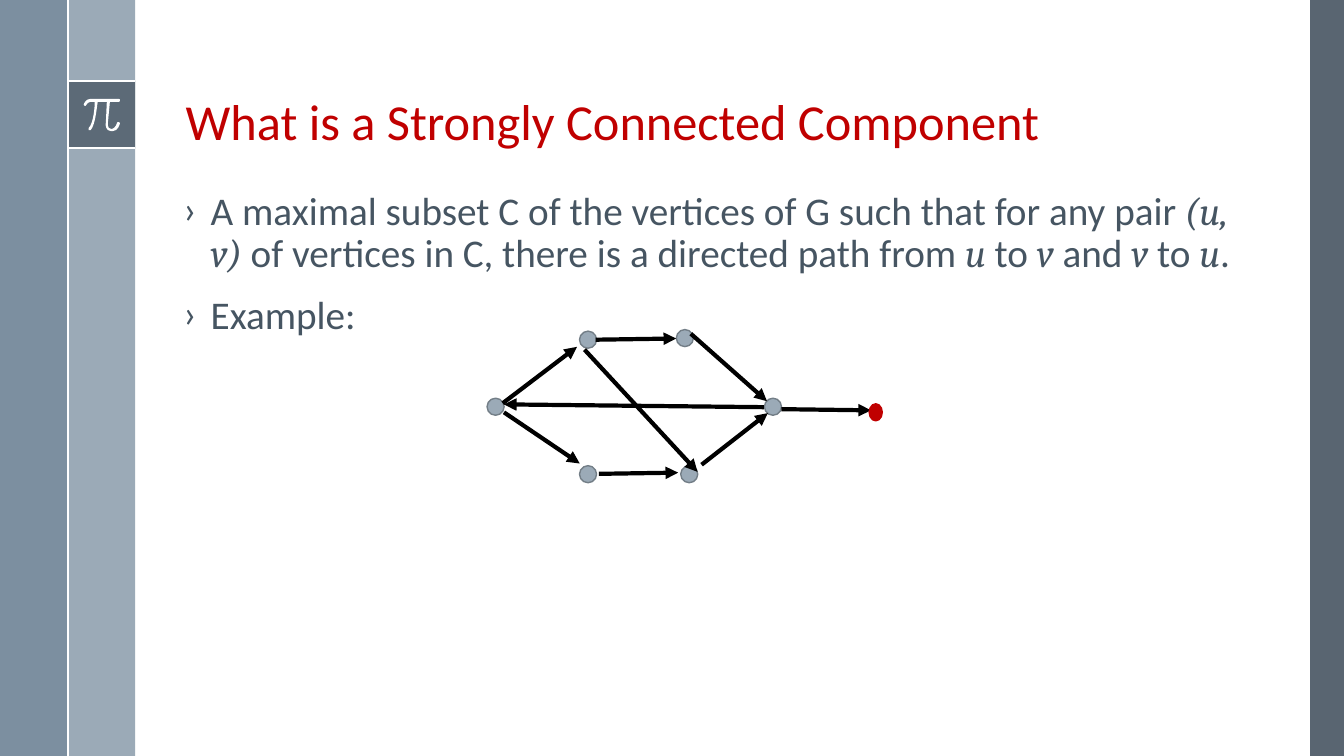
from pptx import Presentation
from pptx.dml.color import RGBColor
from pptx.enum import shapes, text
from pptx.oxml import parse_xml
from pptx.oxml.ns import nsdecls, qn
from pptx.util import Cm, Emu, Pt
from lxml import etree


class Theme:
    dark, slate, pale = "475562", "6A8093", "9BAAB7"
    node_line, ink, accent = "737E87", "465562", "C00000"
    white, black = "FFFFFF", "000000"
    body_font, math_font = "Calibri", "Cambria"
    title_size, body_size = Pt(36), Pt(28)
    rule_width, node_width, edge_width = Pt(1.5), Pt(1), Pt(3)
    line_spacing, paragraph_gap, indent = 0.9, Pt(14), Cm(0.69)


# Content: text in italics is marked True
TITLE = "What is a Strongly Connected Component"
BULLETS = [
    [("A maximal subset C of the vertices of G such that for any pair", False),
     (" (u, v) ", True),
     ("of vertices in C, there is a directed path from ", False),
     ("u", True), (" to ", False), ("v", True), (" and ", False),
     ("v", True), (" to ", False), ("u", True), (".", False)],
    [("Example:", False)],
]

# Lengths in centimetres
WIDTH, HEIGHT = 33.87, 19.05
BAND_LEFT, BAND, BADGE_TOP = 1.71, 1.7, 2.04
BAND_RIGHT = BAND_LEFT + BAND
PANELS = [  # left, top, width, height, colour, opacity in percent
    (33.02, 0, 0.85, HEIGHT, Theme.dark, 90),
    (BAND_LEFT, 0, BAND, HEIGHT, Theme.pale, 100),
    (0, 0, BAND_LEFT, HEIGHT, Theme.slate, 88),
    (BAND_LEFT, BADGE_TOP, BAND, BAND, Theme.dark, 75),
]
BADGE_RULES = [((BAND_LEFT, y), (BAND_RIGHT, y))
               for y in (BADGE_TOP, BADGE_TOP + BAND)]
BAND_RULE = ((BAND_LEFT, 0), (BAND_LEFT, HEIGHT))
NODE_SIZE, SINK_WIDTH = 0.43, 0.33
NODES = [(14.82, 8.56), (12.49, 10.25), (17.37, 11.95),
         (19.48, 10.25), (14.82, 11.95), (17.26, 8.52)]
SINK = (22.07, 10.39)
EDGES = [
    ((15.01, 8.56), (17.04, 8.53)),
    ((17.41, 8.41), (19.33, 10.11)),
    ((12.7, 10.39), (14.61, 11.68)),
    ((19.25, 10.26), (12.7, 10.19)),
    ((17.68, 11.71), (19.35, 10.41)),
    ((15.09, 11.94), (17.09, 11.91)),
    ((14.73, 8.81), (17.58, 11.89)),
    ((12.67, 10.16), (14.54, 8.74)),
    ((19.69, 10.31), (21.95, 10.34)),
]

# Pi outline in hundredths of an inch: pairs are lines, sixes are cubic curves
PI_ORIGIN, PI_UNIT = (2.11, 2.49), Cm(2.54) / 100
PI_START = (35, 0)
PI_STROKES = [
    (7, 0), (2, 0, 0, 5, 0, 6), (0, 6, 0, 7, 1, 7), (2, 7),
    (2, 7, 4, 3, 7, 3), (11, 3), (11, 7, 10, 24, 5, 29),
    (4, 30, 4, 30, 5, 31), (7, 31), (12, 25, 13, 7, 14, 3),
    (23, 3), (22, 24), (22, 24, 21, 28, 24, 31), (25, 32, 26, 32, 27, 32),
    (29, 32), (34, 32, 36, 25, 36, 24), (36, 24, 35, 23, 35, 23),
    (34, 23, 33, 23, 33, 24), (33, 24, 32, 29, 28, 30),
    (27, 30, 26, 30, 25, 29), (24, 28, 24, 25, 24, 24), (26, 3), (35, 3),
    (36, 3, 36, 2, 36, 2), (36, 1, 36, 0, 35, 0),
]


def paint(shape, colour, line=None, opacity=100):
    shape.shadow.inherit = False
    shape.fill.solid()
    shape.fill.fore_color.rgb = RGBColor.from_string(colour)
    if opacity < 100:
        fill = shape._element.spPr.find(qn("a:solidFill"))
        etree.SubElement(fill[0], qn("a:alpha")).set("val", str(opacity * 1000))
    if line:
        shape.line.color.rgb = RGBColor.from_string(line)
        shape.line.width = Theme.node_width
    else:
        shape.line.fill.background()


def add_line(slide, start, end, colour, width, arrow=False):
    connector = slide.shapes.add_connector(
        shapes.MSO_CONNECTOR.STRAIGHT, *map(Cm, start + end))
    connector.line.color.rgb = RGBColor.from_string(colour)
    connector.line.width = width
    if arrow:
        tail = etree.SubElement(connector.line._get_or_add_ln(), qn("a:tailEnd"))
        tail.set("type", "triangle")
    etree.SubElement(connector._element.spPr, qn("a:effectLst"))


def add_node(slide, centre, width, fill, line):
    x, y = centre
    node = slide.shapes.add_shape(
        shapes.MSO_SHAPE.OVAL, Cm(x - width / 2), Cm(y - NODE_SIZE / 2),
        Cm(width), Cm(NODE_SIZE))
    paint(node, fill, line)


def add_pi(slide):
    def place(point):
        return tuple(Emu(round(Cm(origin) + value * PI_UNIT))
                     for origin, value in zip(PI_ORIGIN, point))

    points = [place(stroke[i:i + 2]) for stroke in PI_STROKES
              for i in range(0, len(stroke), 2)]
    builder = slide.shapes.build_freeform(*place(PI_START))
    builder.add_line_segments(points, close=True)
    pi = builder.convert_to_shape()
    # Join each curve's two control points and end point into one cubic segment
    segments = iter(list(pi._element.iter(qn("a:lnTo"))))
    for stroke in PI_STROKES:
        first = next(segments)
        if len(stroke) == 6:
            first.tag = qn("a:cubicBezTo")
            for _ in range(2):
                extra = next(segments)
                first.append(extra[0])
                extra.getparent().remove(extra)
    paint(pi, Theme.white)


def add_text_frame(slide, box, anchor):
    frame = slide.shapes.add_textbox(*map(Cm, box)).text_frame
    frame.word_wrap = True
    frame.vertical_anchor = anchor
    return frame


def add_run(paragraph, words, size, colour, italic=False):
    run = paragraph.add_run()
    run.text = words
    run.font.name = Theme.math_font if italic else Theme.body_font
    run.font.size = size
    run.font.italic = italic
    run.font.color.rgb = RGBColor.from_string(colour)


def add_bullet(paragraph):
    properties = paragraph._p.get_or_add_pPr()
    properties.set("marL", str(Theme.indent))
    properties.set("indent", str(-Theme.indent))
    for tag in (f'buFont {nsdecls("a")} typeface="{Theme.body_font}"',
                f'buChar {nsdecls("a")} char="›"'):
        properties.append(parse_xml(f"<a:{tag}/>"))


def main():
    presentation = Presentation()
    presentation.slide_width, presentation.slide_height = Cm(WIDTH), Cm(HEIGHT)
    slide = presentation.slides.add_slide(presentation.slide_layouts[6])

    # Side bands and badge
    for left, top, width, height, colour, opacity in PANELS:
        panel = slide.shapes.add_shape(
            shapes.MSO_SHAPE.RECTANGLE, *map(Cm, (left, top, width, height)))
        paint(panel, colour, opacity=opacity)
    for start, end in BADGE_RULES:
        add_line(slide, start, end, Theme.white, Theme.rule_width)
    add_pi(slide)
    add_line(slide, *BAND_RULE, Theme.white, Theme.rule_width)

    # Title
    frame = add_text_frame(slide, (4.43, 0.48, 27.18, 3.45), text.MSO_ANCHOR.BOTTOM)
    paragraph = frame.paragraphs[0]
    paragraph.line_spacing = Theme.line_spacing
    add_run(paragraph, TITLE, Theme.title_size, Theme.accent)

    # Bullets
    frame = add_text_frame(slide, (4.37, 4.7, 27.18, 13.97), text.MSO_ANCHOR.TOP)
    for index, runs in enumerate(BULLETS):
        paragraph = frame.add_paragraph() if index else frame.paragraphs[0]
        add_bullet(paragraph)
        paragraph.line_spacing = Theme.line_spacing
        if index:
            paragraph.space_before = Theme.paragraph_gap
        for words, italic in runs:
            add_run(paragraph, words, Theme.body_size, Theme.ink, italic)

    # Example graph
    for centre in NODES:
        add_node(slide, centre, NODE_SIZE, Theme.pale, Theme.node_line)
    for start, end in EDGES:
        add_line(slide, start, end, Theme.black, Theme.edge_width, arrow=True)
    add_node(slide, SINK, SINK_WIDTH, Theme.accent, Theme.accent)

    presentation.save("out.pptx")


if __name__ == "__main__":
    main()
